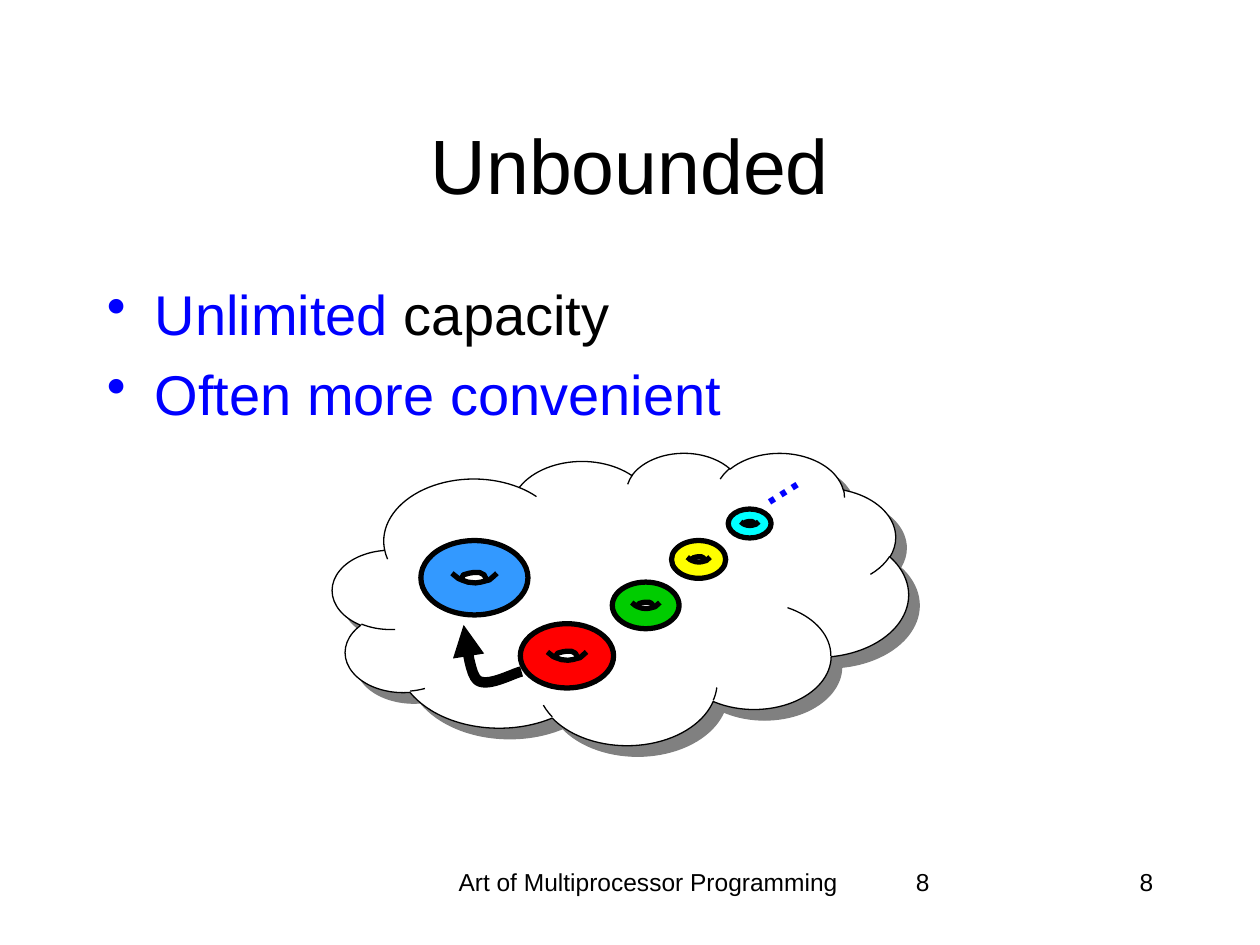
from dataclasses import dataclass

from lxml.etree import SubElement
from pptx import Presentation
from pptx.dml.color import RGBColor
from pptx.enum.shapes import MSO_SHAPE
from pptx.enum.text import MSO_ANCHOR, PP_ALIGN
from pptx.oxml.ns import qn
from pptx.util import Inches, Pt


@dataclass(frozen=True)
class Theme:
    font: str = "Arial"
    black: str = "000000"
    white: str = "FFFFFF"
    blue: str = "0000FF"
    shade: str = "808080"
    title: int = 44
    body: int = 32
    dots: int = 24
    foot: int = 14
    thin: float = 0.75
    thick: int = 3
    heavy: int = 6


THEME = Theme()

RINGS = [
    ("3399FF", (3.34, 4.29, 0.85, 0.59)),
    ("FF0000", (4.13, 4.95, 0.74, 0.51)),
    ("00CC00", (4.86, 4.62, 0.53, 0.37)),
    ("FFFF00", (5.33, 4.29, 0.43, 0.3)),
    ("00FFFF", (5.78, 4.04, 0.34, 0.23)),
]
HOLE = [(38, 53), (40, 54), (42, 55), (46, 56), (52, 58), (58, 57), (62, 54),
        (59, 49), (56, 46), (54, 44), (48, 44), (42, 46), (39, 49)]
RIM = [(37, 53), (40, 46), (45, 44), (49, 43), (55, 43), (59, 46), (62, 54)]
SMILE = [(29, 44), (35, 51), (38, 53), (44, 56), (51, 57), (56, 56),
         (64, 53), (68, 48), (71, 44)]
BENDS = [
    [(4.14, 5.33), (4.08, 5.34), (3.87, 5.46), (3.79, 5.4)],
    [(3.79, 5.4), (3.72, 5.34), (3.7, 5.05), (3.68, 4.96)],
]


def color(code):
    return RGBColor.from_string(code)


def place(box):
    return [Inches(part) for part in box]


def paint(shape, fill, width):
    shape.shadow.inherit = False
    if fill:
        shape.fill.solid()
        shape.fill.fore_color.rgb = color(fill)
    else:
        shape.fill.background()
    shape.line.color.rgb = color(THEME.black)
    shape.line.width = Pt(width)
    return shape


def text(slide, box, lines, size, align=PP_ALIGN.LEFT, anchor=MSO_ANCHOR.TOP,
         bold=False, wrap=True, turn=0, bullet=False, indent=0, gap=0, pitch=None):
    shape = slide.shapes.add_textbox(*place(box))
    shape.rotation = turn
    frame = shape.text_frame
    frame.word_wrap = wrap
    frame.vertical_anchor = anchor
    for index, line in enumerate(lines):
        para = frame.paragraphs[0] if index == 0 else frame.add_paragraph()
        props = para._p.get_or_add_pPr()
        if indent:
            props.set("marL", str(Inches(indent)))
            props.set("indent", str(-Inches(indent)))
        if bullet:
            SubElement(props, qn("a:buChar")).set("char", "•")
        para.alignment = align
        if index and gap:
            para.space_before = Pt(gap)
        if pitch:
            para.line_spacing = pitch
        for words, code in line:
            run = para.add_run()
            run.text = words
            run.font.name = THEME.font
            run.font.size = Pt(size)
            run.font.bold = bold
            run.font.color.rgb = color(code)
    return shape


def trace(shapes, points, fill=None, width=THEME.thick, close=False):
    spots = [(Inches(x), Inches(y)) for x, y in points]
    pen = shapes.build_freeform(*spots[0], scale=1.0)
    pen.add_line_segments(spots[1:], close=close)
    return paint(pen.convert_to_shape(), fill, width)


def cloud(slide, box):
    shape = slide.shapes.add_shape(MSO_SHAPE.CLOUD, *place(box))
    paint(shape, THEME.white, THEME.thin)
    effects = shape._element.spPr.find(qn("a:effectLst"))
    shadow = SubElement(effects, qn("a:outerShdw"), dist=str(Pt(8.5)),
                        dir=str(45 * 60000), algn="ctr", rotWithShape="0")
    SubElement(shadow, qn("a:srgbClr"), val=THEME.shade)


def ring(slide, fill, box):
    left, top, width, height = box

    def fit(points):
        return [(left + x * width / 100, top + y * height / 100) for x, y in points]

    shapes = slide.shapes.add_group_shape().shapes
    paint(shapes.add_shape(MSO_SHAPE.OVAL, *place(box)), fill, THEME.thick)
    trace(shapes, fit(HOLE), fill=THEME.white, width=THEME.thin, close=True)
    trace(shapes, fit(RIM))
    trace(shapes, fit(SMILE))


def curve(bend, steps=10):
    for step in range(steps + 1):
        t = step / steps
        rates = ((1 - t) ** 3, 3 * t * (1 - t) ** 2, 3 * t * t * (1 - t), t ** 3)
        yield tuple(sum(rate * spot[axis] for rate, spot in zip(rates, bend))
                    for axis in (0, 1))


def arrow(slide, bends):
    first, *rest = [list(curve(bend)) for bend in bends]
    points = first + [spot for part in rest for spot in part[1:]]
    shape = trace(slide.shapes, points, width=THEME.heavy)
    line = shape.line._get_or_add_ln()
    SubElement(line, qn("a:round"))
    SubElement(line, qn("a:tailEnd"), type="triangle")


def main():
    deck = Presentation()
    deck.slide_width, deck.slide_height = Inches(10), Inches(7.5)
    slide = deck.slides.add_slide(deck.slide_layouts[6])
    black, blue = THEME.black, THEME.blue

    text(slide, (3.42, 6.83, 3.45, 0.5), [[("Art of Multiprocessor Programming", black)]],
         THEME.foot, align=PP_ALIGN.CENTER)
    for side in (PP_ALIGN.LEFT, PP_ALIGN.RIGHT):
        text(slide, (7.17, 6.83, 2.08, 0.5), [[("8", black)]], THEME.foot, align=side)
    text(slide, (0.75, 0.67, 8.5, 1.25), [[("Unbounded", black)]], THEME.title,
         align=PP_ALIGN.CENTER, anchor=MSO_ANCHOR.MIDDLE)
    text(slide, (0.75, 2.17, 8.5, 4.5),
         [[("Unlimited ", blue), ("capacity", black)], [("Often more convenient", blue)]],
         THEME.body, bullet=True, indent=0.38, gap=7.4)

    cloud(slide, (2.64, 3.59, 4.57, 2.32))
    for fill, box in RINGS:
        ring(slide, fill, box)
    text(slide, (5.91, 3.65, 0.54, 0.42), [[("…", blue)]], THEME.dots,
         align=PP_ALIGN.CENTER, bold=True, wrap=False, turn=327.9, indent=0.25, pitch=0.8)
    arrow(slide, BENDS)
    deck.save("out.pptx")


if __name__ == "__main__":
    main()
